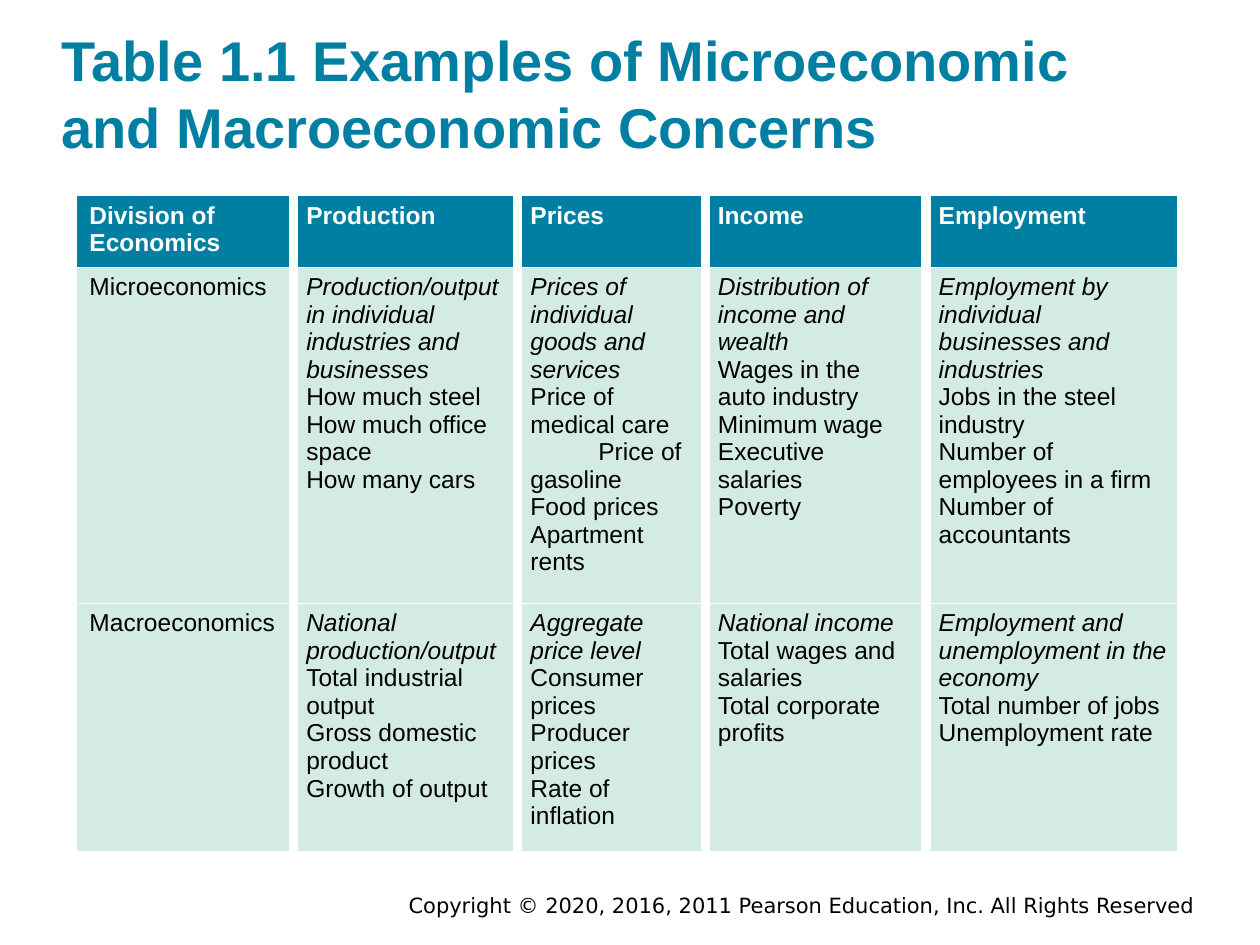
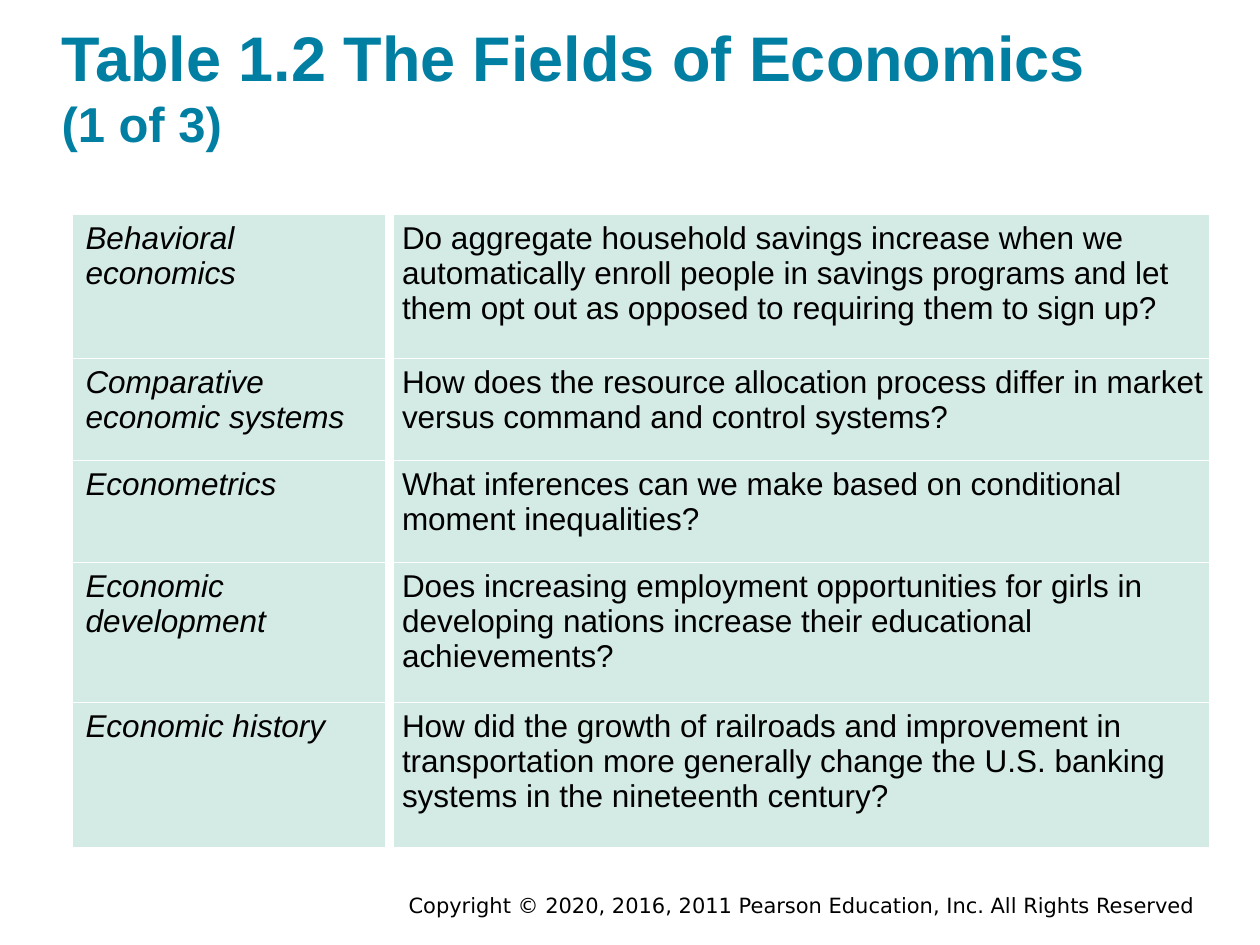
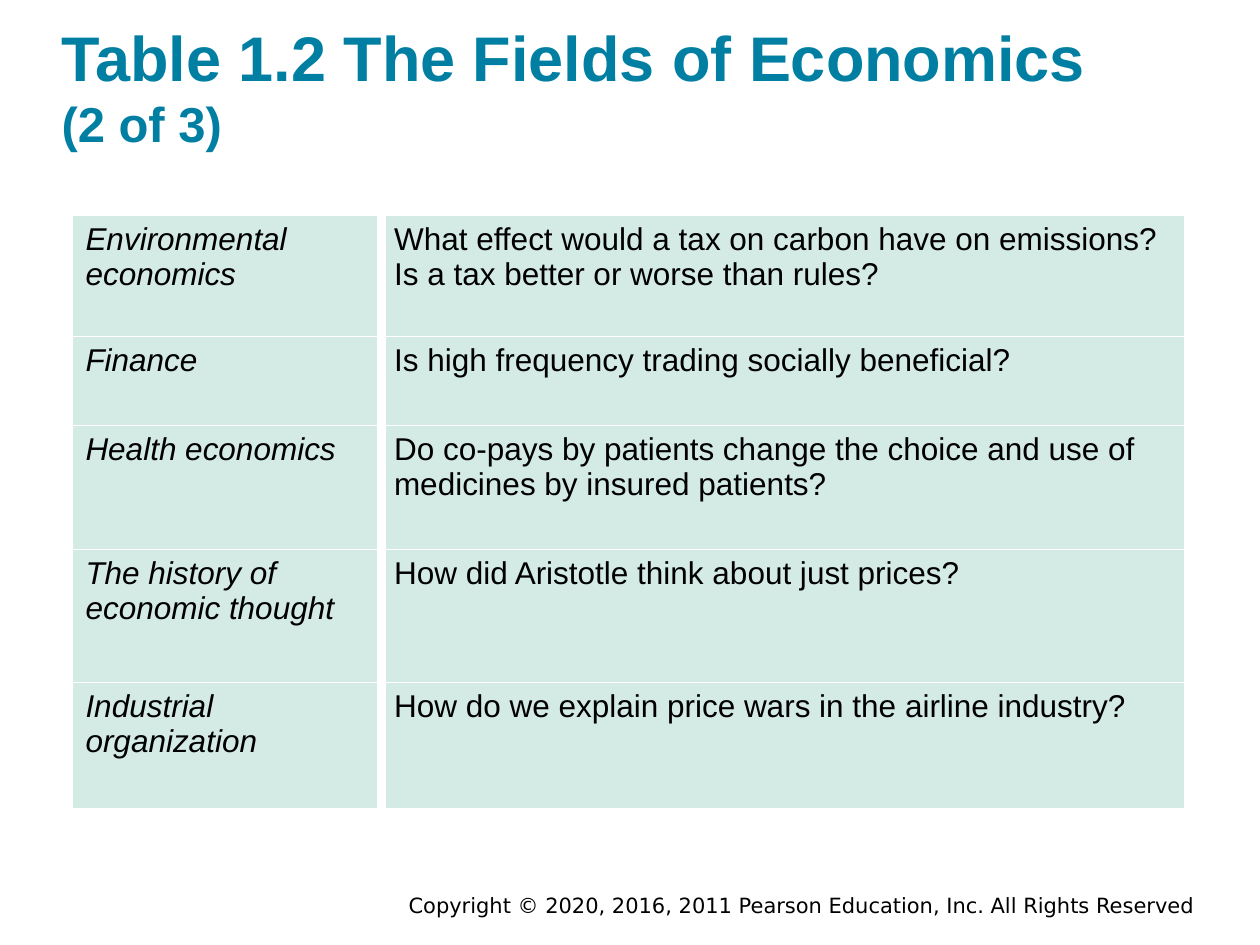
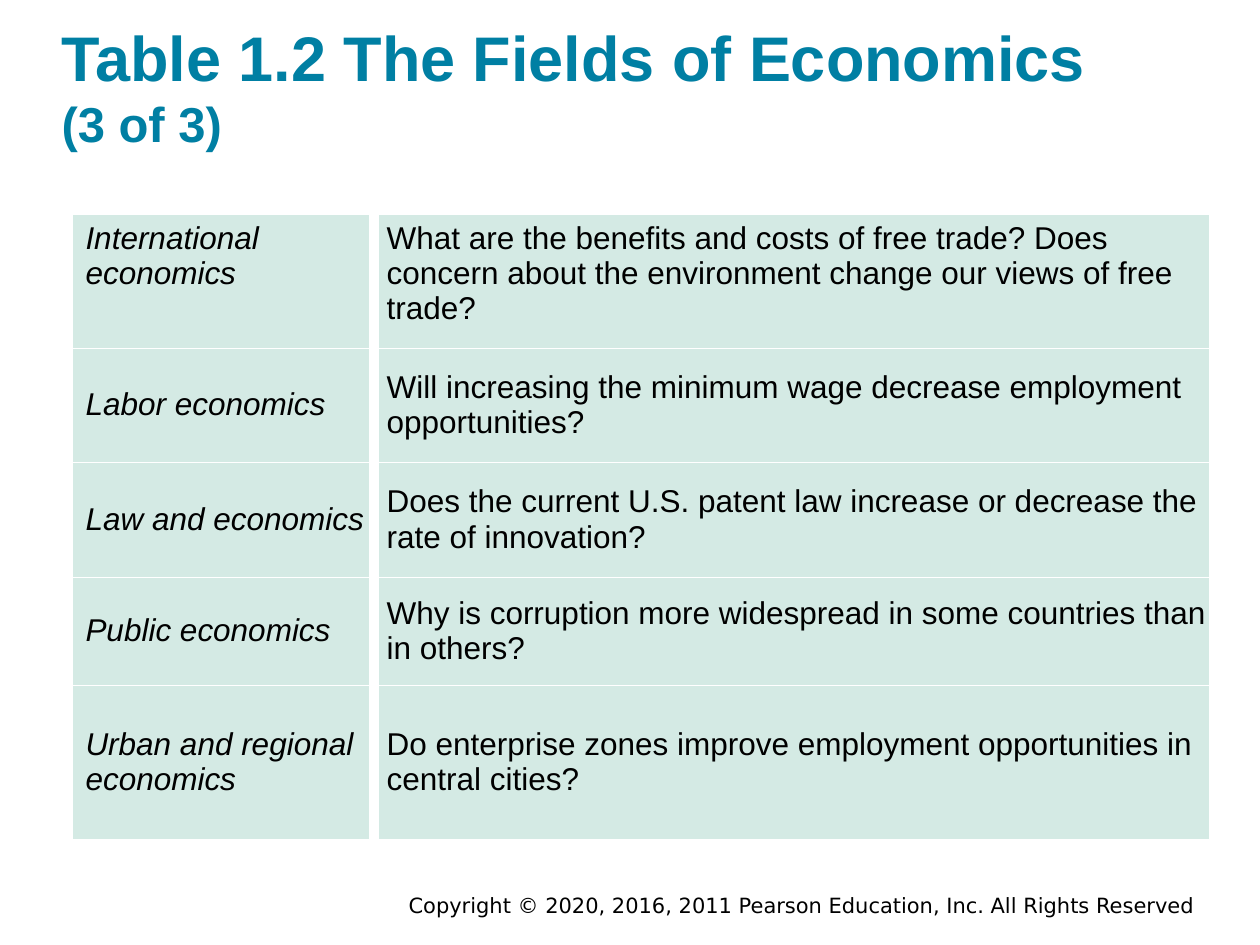
import dataclasses

import lxml.etree
import pptx
import pptx.dml.color
import pptx.enum.text
import pptx.oxml.ns
import pptx.util

Cm = pptx.util.Cm
Anchor = pptx.enum.text.MSO_ANCHOR
Align = pptx.enum.text.PP_ALIGN


@dataclasses.dataclass(frozen=True)
class Theme:
    teal: str = "007FA3"
    mint: str = "D4EAE4"
    white: str = "FFFFFF"
    black: str = "000000"
    font: str = "Arial"
    footer_font: str = "DejaVu Sans"
    long_title: int = 32
    title: int = 36
    counter: int = 28
    fields: int = 18
    concerns: int = 14
    footer: int = 12
    column_gap: float = 6
    row_gap: float = 0.25


@dataclasses.dataclass(frozen=True)
class Run:
    text: str
    italic: bool = False


@dataclasses.dataclass(frozen=True)
class Paragraph:
    runs: tuple
    indent: float = 0


def plain(text, indent=0):
    return Paragraph((Run(text),), indent)


def lead(text, rest=None):
    runs = (Run(text, True),) if rest is None else (Run(text + " ", True), Run(rest))
    return Paragraph(runs)


class Deck:
    def __init__(self, theme):
        self.theme = theme
        self.presentation = pptx.Presentation()
        self.presentation.slide_width = Cm(25.4)
        self.presentation.slide_height = Cm(19.05)
        self.slide = None

    def add_slide(self):
        self.slide = self.presentation.slides.add_slide(self.presentation.slide_layouts[5])

    def run(self, paragraph, text, size, color, bold=False, italic=False, font=None):
        run = paragraph.add_run()
        run.text = text
        run.font.name = font or self.theme.font
        run.font.size = pptx.util.Pt(size)
        run.font.bold = bold
        run.font.italic = italic
        run.font.color.rgb = pptx.dml.color.RGBColor.from_string(color)

    def master_footer(self, text):
        shape = self.slide.shapes.add_textbox(Cm(4.45), Cm(17.86), Cm(19.89), Cm(0.56))
        shape.text_frame.word_wrap = True
        paragraph = shape.text_frame.paragraphs[0]
        paragraph.alignment = Align.RIGHT
        self.run(paragraph, text, self.theme.footer, self.theme.black,
                 font=self.theme.footer_font)
        master_shapes = self.presentation.slide_master.shapes.element
        master_shapes.insert_element_before(shape.element, "p:extLst")

    def title(self, text, size, top, counter=None):
        shape = self.slide.shapes.title
        shape.left, shape.top = Cm(0.99), Cm(top)
        shape.width, shape.height = Cm(22.86), Cm(3.25)
        frame = shape.text_frame
        frame.word_wrap = True
        frame.auto_size = pptx.enum.text.MSO_AUTO_SIZE.SHAPE_TO_FIT_TEXT
        frame.vertical_anchor = Anchor.BOTTOM
        frame.margin_left = frame.margin_right = Cm(0.25)
        frame.margin_top = frame.margin_bottom = Cm(0.25)
        paragraph = frame.paragraphs[0]
        paragraph.alignment = Align.LEFT
        self.run(paragraph, text, size, self.theme.teal, bold=True)
        if counter:
            paragraph.add_line_break()
            self.run(paragraph, counter, self.theme.counter, self.theme.teal, bold=True)

    def borders(self, cell, first_column):
        properties = cell._tc.get_or_add_tcPr()
        widths = {
            "lnL": 0 if first_column else self.theme.column_gap,
            "lnR": self.theme.column_gap,
            "lnT": self.theme.row_gap,
            "lnB": self.theme.row_gap,
        }
        qualify = pptx.oxml.ns.qn
        for side, width in widths.items():
            line = lxml.etree.SubElement(properties, qualify("a:" + side),
                                         w=str(int(pptx.util.Pt(width))))
            if width:
                fill = lxml.etree.SubElement(line, qualify("a:solidFill"))
                lxml.etree.SubElement(fill, qualify("a:srgbClr"), val=self.theme.white)
            else:
                lxml.etree.SubElement(line, qualify("a:noFill"))

    def cell(self, cell, paragraphs, size, header, first_column):
        self.borders(cell, first_column)
        cell.fill.solid()
        cell.fill.fore_color.rgb = pptx.dml.color.RGBColor.from_string(
            self.theme.teal if header else self.theme.mint)
        color = self.theme.white if header else self.theme.black
        frame = cell.text_frame
        for index, content in enumerate(paragraphs):
            paragraph = frame.add_paragraph() if index else frame.paragraphs[0]
            if content.indent:
                paragraph._p.get_or_add_pPr().set("indent", str(int(Cm(content.indent))))
            for run in content.runs:
                self.run(paragraph, run.text, size, color, header, run.italic)

    def table(self, left, top, widths, heights, rows, size, header=False,
              right_margin=0.25, middle_from=None):
        shape = self.slide.shapes.add_table(len(rows), len(widths), Cm(left), Cm(top),
                                            Cm(sum(widths)), Cm(sum(heights)))
        table = shape.table
        table.first_row = header
        table.horz_banding = False
        for column, width in zip(table.columns, widths):
            column.width = Cm(width)
        for row_index, (height, contents) in enumerate(zip(heights, rows)):
            table.rows[row_index].height = Cm(height)
            for column_index, paragraphs in enumerate(contents):
                cell = table.cell(row_index, column_index)
                cell.margin_right = Cm(right_margin)
                if middle_from is not None and row_index >= middle_from:
                    cell.vertical_anchor = Anchor.MIDDLE
                self.cell(cell, paragraphs, size, header and row_index == 0,
                          column_index == 0)


CONCERNS = [
    [[plain(heading)] for heading in
     ("Division of Economics", "Production", "Prices", "Income", "Employment")],
    [
        [plain("Microeconomics")],
        [lead("Production/output in individual industries and businesses"),
         plain("How much steel How much office space"),
         plain("How many cars")],
        [lead("Prices of individual goods and services"),
         plain("Price of medical care"),
         plain("Price of gasoline", indent=1.37),
         plain("Food prices"),
         plain("Apartment rents")],
        [lead("Distribution of income and wealth"),
         plain("Wages in the auto industry"),
         plain("Minimum wage"),
         plain("Executive salaries"),
         plain("Poverty")],
        [lead("Employment by individual businesses and industries"),
         plain("Jobs in the steel industry"),
         plain("Number of employees in a firm"),
         plain("Number of accountants")],
    ],
    [
        [plain("Macroeconomics")],
        [lead("National production/output", "Total industrial output"),
         plain("Gross domestic product"),
         plain("Growth of output")],
        [lead("Aggregate price level", "Consumer prices Producer prices"),
         plain("Rate of inflation")],
        [lead("National income"),
         plain("Total wages and salaries"),
         plain("Total corporate profits")],
        [lead("Employment and unemployment in the economy"),
         plain("Total number of jobs"),
         plain("Unemployment rate")],
    ],
]

FIELDS = [
    {
        "top": 4.32,
        "widths": (6.38, 16.61),
        "heights": (2.9, 2.06, 2.06, 2.82, 2.92),
        "questions": {
            "Behavioral economics":
                "Do aggregate household savings increase when we automatically enroll "
                "people in savings programs and let them opt out as opposed to requiring "
                "them to sign up?",
            "Comparative economic systems":
                "How does the resource allocation process differ in market versus "
                "command and control systems?",
            "Econometrics":
                "What inferences can we make based on conditional moment inequalities?",
            "Economic development":
                "Does increasing employment opportunities for girls in developing "
                "nations increase their educational achievements?",
            "Economic history":
                "How did the growth of railroads and improvement in transportation more "
                "generally change the U.S. banking systems in the nineteenth century?",
        },
    },
    {
        "top": 4.34,
        "widths": (6.22, 16.28),
        "heights": (2.44, 1.8, 2.49, 2.69, 2.54),
        "questions": {
            "Environmental economics":
                "What effect would a tax on carbon have on emissions? Is a tax better "
                "or worse than rules?",
            "Finance": "Is high frequency trading socially beneficial?",
            "Health economics":
                "Do co-pays by patients change the choice and use of medicines by "
                "insured patients?",
            "The history of economic thought":
                "How did Aristotle think about just prices?",
            "Industrial organization":
                "How do we explain price wars in the airline industry?",
        },
    },
    {
        "top": 4.32,
        "widths": (6.07, 16.92),
        "heights": (2.69, 2.31, 2.31, 2.18, 3.1),
        "middle_from": 1,
        "questions": {
            "International economics":
                "What are the benefits and costs of free trade? Does concern about the "
                "environment change our views of free trade?",
            "Labor economics":
                "Will increasing the minimum wage decrease employment opportunities?",
            "Law and economics":
                "Does the current U.S. patent law increase or decrease the rate of "
                "innovation?",
            "Public economics":
                "Why is corruption more widespread in some countries than in others?",
            "Urban and regional economics":
                "Do enterprise zones improve employment opportunities in central cities?",
        },
    },
]


def main():
    theme = Theme()
    deck = Deck(theme)

    deck.add_slide()
    deck.master_footer(
        "Copyright © 2020, 2016, 2011 Pearson Education, Inc. All Rights Reserved")
    deck.title("Table 1.1 Examples of Microeconomic and Macroeconomic Concerns",
               theme.long_title, top=0.23)
    deck.table(1.55, 3.94, (4.37, 4.52, 3.78, 4.45, 5.16), (1.42, 6.78, 5),
               CONCERNS, theme.concerns, header=True)

    for number, fields in enumerate(FIELDS, 1):
        deck.add_slide()
        deck.title("Table 1.2 The Fields of Economics", theme.title, top=0.08,
                   counter=f"({number} of {len(FIELDS)})")
        rows = [[[lead(field)], [plain(question)]]
                for field, question in fields["questions"].items()]
        deck.table(1.47, fields["top"], fields["widths"], fields["heights"], rows,
                   theme.fields, right_margin=0,
                   middle_from=fields.get("middle_from"))

    deck.presentation.save("out.pptx")


if __name__ == "__main__":
    main()
